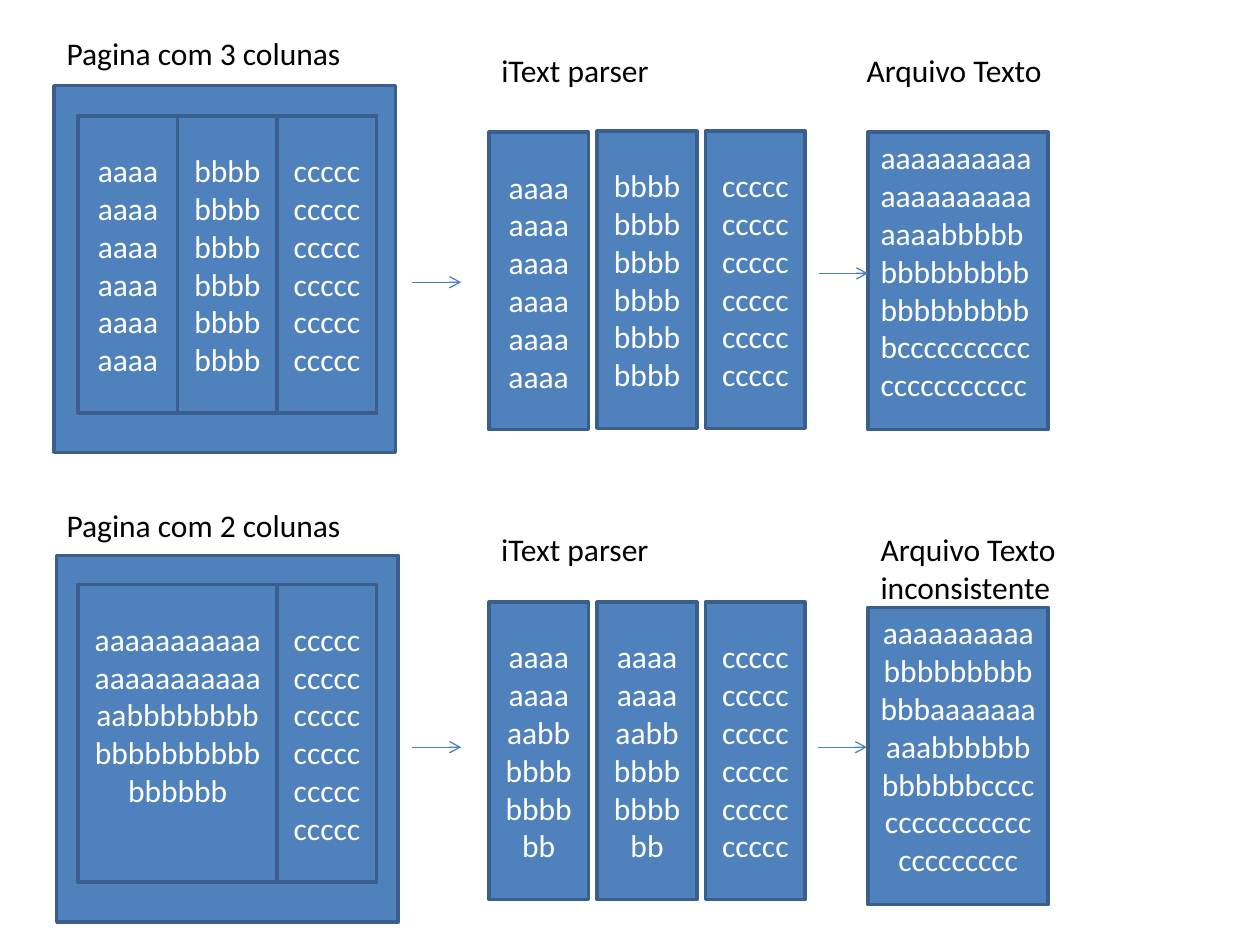
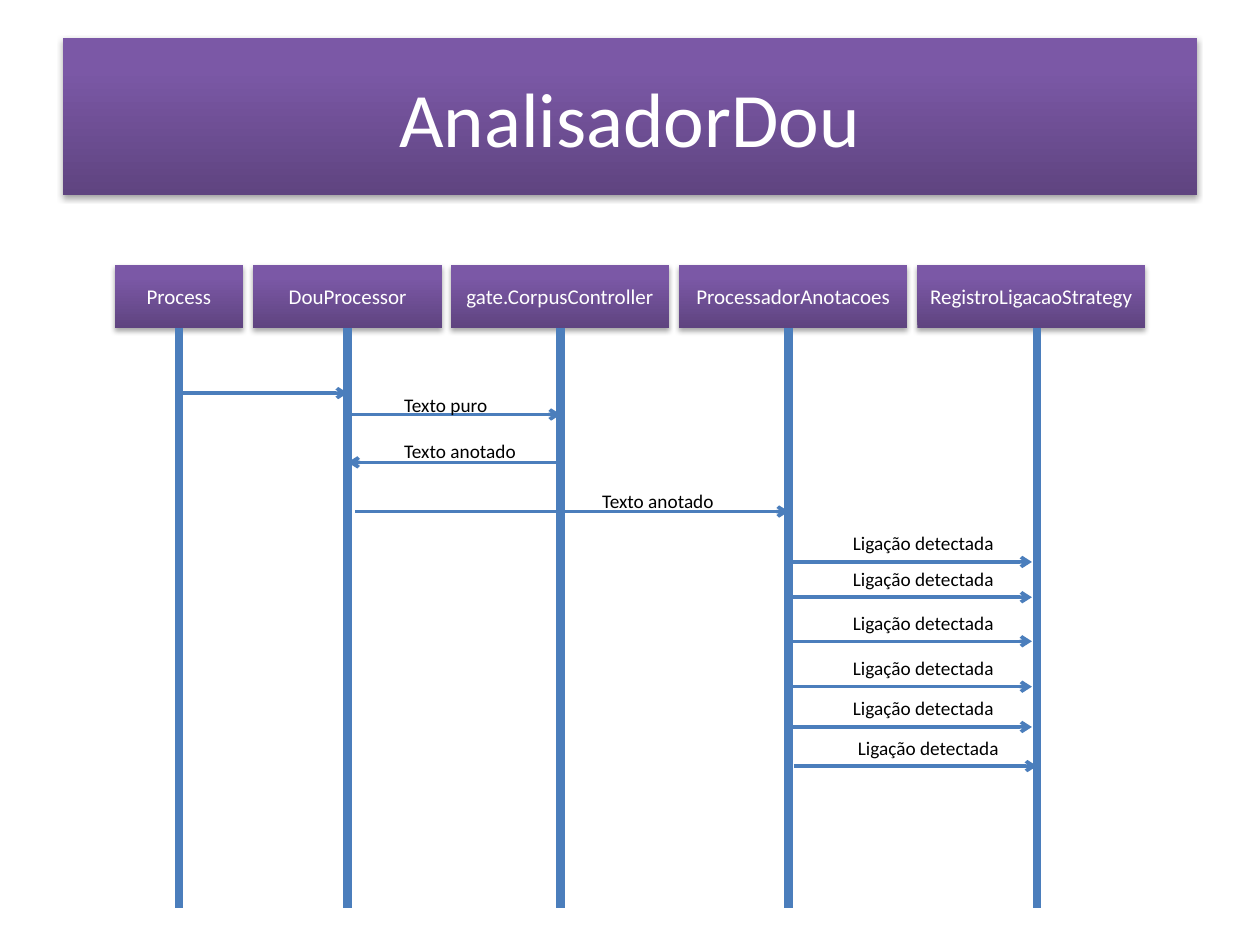
from copy import deepcopy

from lxml import etree
from pptx import Presentation
from pptx.dml.color import RGBColor
from pptx.enum.shapes import MSO_CONNECTOR, MSO_SHAPE
from pptx.enum.text import MSO_ANCHOR, MSO_AUTO_SIZE, PP_ALIGN
from pptx.oxml.ns import qn
from pptx.util import Inches, Pt

RECTANGLE = MSO_SHAPE.RECTANGLE
STRAIGHT = MSO_CONNECTOR.STRAIGHT
MIDDLE, TOP = MSO_ANCHOR.MIDDLE, MSO_ANCHOR.TOP
CENTER, LEFT = PP_ALIGN.CENTER, PP_ALIGN.LEFT
GROW = MSO_AUTO_SIZE.SHAPE_TO_FIT_TEXT

FONT = "Calibri"
BLACK, WHITE = "000000", "FFFFFF"
BOX_FILL, BOX_EDGE, LINE_BLUE = "4F81BD", "3A5F8C", "4B7EBC"
PURPLE_STOPS = [(0, "5F4480"), (0.8, "7B58A6"), (1, "7C57A8")]


def rgb(hex_color):
    """Turn a hex string into a colour."""
    return RGBColor.from_string(hex_color)


def add_effects(properties):
    """Add an empty effect list, which removes the themed shadow."""
    return etree.SubElement(properties, qn("a:effectLst"))


class Sketch:
    """Holds the style and the slide being drawn."""

    def __init__(self):
        """Start a 10 by 7.5 inch presentation."""
        self.deck = Presentation()
        self.deck.slide_width = Inches(10)
        self.deck.slide_height = Inches(7.5)
        self.slide = None

    def new_slide(self):
        """Add a blank slide and make it current."""
        self.slide = self.deck.slides.add_slide(self.deck.slide_layouts[6])

    def set_text(self, frame, text, size, color, align):
        """Put one styled paragraph in a text frame."""
        paragraph = frame.paragraphs[0]
        paragraph.text = text
        paragraph.alignment = align
        paragraph.font.name = FONT
        paragraph.font.size = Pt(size)
        paragraph.font.color.rgb = rgb(color)

    def box(self, left, top, width, height, text="", anchor=MIDDLE,
            align=CENTER, bottom_inset=0.05):
        """Draw a blue outlined box with optional text."""
        box = self.slide.shapes.add_shape(
            RECTANGLE, Inches(left), Inches(top), Inches(width), Inches(height))
        box.shadow.inherit = False
        box.fill.solid()
        box.fill.fore_color.rgb = rgb(BOX_FILL)
        box.line.color.rgb = rgb(BOX_EDGE)
        box.line.width = Pt(2)
        if text:
            frame = box.text_frame
            frame.word_wrap = True
            frame.vertical_anchor = anchor
            frame.margin_bottom = Inches(bottom_inset)
            self.set_text(frame, text, 18, WHITE, align)

    def band(self, left, top, width, height, text, size, shapes=None):
        """Draw a purple gradient band with a soft shadow."""
        shapes = shapes or self.slide.shapes
        band = shapes.add_shape(
            RECTANGLE, Inches(left), Inches(top), Inches(width), Inches(height))
        band.line.fill.background()
        band.fill.gradient()
        band.fill.gradient_angle = 90
        properties = band._element.spPr
        stop_list = properties.find(".//" + qn("a:gsLst"))
        stop_list.append(deepcopy(stop_list[-1]))
        for stop, (position, color) in zip(band.fill.gradient_stops, PURPLE_STOPS):
            stop.position = position
            stop.color.rgb = rgb(color)
        shadow = etree.SubElement(
            add_effects(properties), qn("a:outerShdw"), blurRad=str(Pt(3.1)),
            dist=str(Pt(1.8)), dir="5400000", rotWithShape="0")
        tint = etree.SubElement(shadow, qn("a:srgbClr"), val=BLACK)
        etree.SubElement(tint, qn("a:alpha"), val="35000")
        frame = band.text_frame
        frame.word_wrap = True
        frame.vertical_anchor = MIDDLE
        self.set_text(frame, text, size, WHITE, CENTER)

    def label(self, left, top, width, height, text, size=18, wrap=True):
        """Put a black label in a box that grows with its text."""
        label = self.slide.shapes.add_textbox(
            Inches(left), Inches(top), Inches(width), Inches(height))
        frame = label.text_frame
        frame.word_wrap = wrap
        frame.auto_size = GROW
        self.set_text(frame, text, size, BLACK, LEFT)

    def line(self, start, end, weight, arrow=True, shapes=None):
        """Draw a blue line, with an arrowhead at its end if asked."""
        shapes = shapes or self.slide.shapes
        line = shapes.add_connector(
            STRAIGHT, *(Inches(length) for length in (*start, *end)))
        line.line.color.rgb = rgb(LINE_BLUE)
        line.line.width = Pt(weight)
        properties = line._element.spPr
        if arrow:
            etree.SubElement(properties.find(qn("a:ln")), qn("a:tailEnd"), type="arrow")
        add_effects(properties)

    def lifeline(self, left, width, center, name):
        """Group a participant's header with its lifeline."""
        shapes = self.slide.shapes.add_group_shape().shapes
        self.band(left, 2.1, width, 0.5, name, 12, shapes)
        self.line((center, 2.6), (center, 7.21), 5, False, shapes)


COLUMN, COLUMN_HEIGHT = 0.79, 2.36
A_TEXT, B_TEXT, C_TEXT = "a" * 24, "b" * 24, "c" * 30
MIXED = "a" * 10 + "b" * 12

sketch = Sketch()

# Slide 1: how pages with three and two columns are parsed
sketch.new_slide()

sketch.label(0.43, 0.22, 2.71, 0.4, "Pagina com 3 colunas")
sketch.box(0.43, 0.68, 2.71, 2.91)
for index, content in enumerate([A_TEXT, B_TEXT, C_TEXT]):
    sketch.box(0.62 + index * COLUMN, 0.92, COLUMN, COLUMN_HEIGHT, content)
sketch.label(3.88, 0.36, 1.38, 0.4, "iText parser", wrap=False)
sketch.label(6.78, 0.36, 1.96, 0.4, "Arquivo Texto")
sketch.box(6.89, 1.05, 1.43, COLUMN_HEIGHT, A_TEXT + B_TEXT + "c" * 21, TOP, LEFT)

sketch.label(0.43, 3.97, 2.71, 0.4, "Pagina com 2 colunas")
sketch.box(0.45, 4.41, 2.71, 2.91)
# The wide column keeps one text line free at its foot
sketch.box(0.62, 4.64, 2 * COLUMN, COLUMN_HEIGHT, A_TEXT + B_TEXT, bottom_inset=0.35)
sketch.box(2.2, 4.64, COLUMN, COLUMN_HEIGHT, C_TEXT)
sketch.label(3.88, 4.16, 1.67, 0.4, "iText parser")
sketch.box(6.89, 4.82, 1.43, COLUMN_HEIGHT, MIXED * 2 + "c" * 24, TOP)
sketch.label(6.89, 4.16, 1.75, 0.71, "Arquivo Texto inconsistente")

PARSED = [
    ((1.05, 1.04, 1.04), (A_TEXT, B_TEXT, C_TEXT)),
    ((4.78, 4.78, 4.78), (MIXED, MIXED, C_TEXT)),
]
for tops, contents in PARSED:
    for index, (top, content) in enumerate(zip(tops, contents)):
        sketch.box(3.88 + index * 0.86, top, COLUMN, COLUMN_HEIGHT, content)

for left, top in [(3.27, 2.24), (6.5, 2.17), (3.27, 5.93), (6.49, 5.93)]:
    sketch.line((left, top), (left + 0.39, top), 0.75)

# Slide 2: sequence diagram of the analyser
sketch.new_slide()
sketch.band(0.5, 0.3, 9, 1.25, "AnalisadorDou", 44)

PROCESS, DOU, CORPUS, NOTES, STRATEGY = 1.42, 2.76, 4.45, 6.26, 8.23
PARTICIPANTS = [
    (0.91, 1.02, PROCESS, "Process"),
    (2.01, 1.5, DOU, "DouProcessor"),
    (3.58, 1.73, CORPUS, "gate.CorpusController"),
    (5.39, 1.81, NOTES, "ProcessadorAnotacoes"),
    (7.28, 1.81, STRATEGY, "RegistroLigacaoStrategy"),
]
for participant in PARTICIPANTS:
    sketch.lifeline(*participant)

MESSAGES = [
    (PROCESS, DOU, 3.12),
    (DOU, CORPUS, 3.29),
    (CORPUS, DOU, 3.67),
    (2.82, NOTES, 4.06),
]
for sender, receiver, top in MESSAGES:
    sketch.line((sender, top), (receiver, top), 2)

CAPTIONS = [
    (3.11, 3.07, 0.88, "Texto puro"),
    (3.11, 3.44, 1.11, "Texto anotado"),
    (4.68, 3.83, 1.11, "Texto anotado"),
]
for left, top, width, caption in CAPTIONS:
    sketch.label(left, top, width, 0.29, caption, 11, False)

DETECTIONS = [(0, 4.46), (0, 4.74), (0, 5.09), (0, 5.45), (0, 5.77), (0.04, 6.08)]
for shift, top in DETECTIONS:
    sketch.line((NOTES + shift, top), (8.19 + shift, top), 2)
    sketch.label(6.67 + shift, top - 0.29, 1.33, 0.29, "Ligação detectada", 11, False)

sketch.deck.save("out.pptx")
